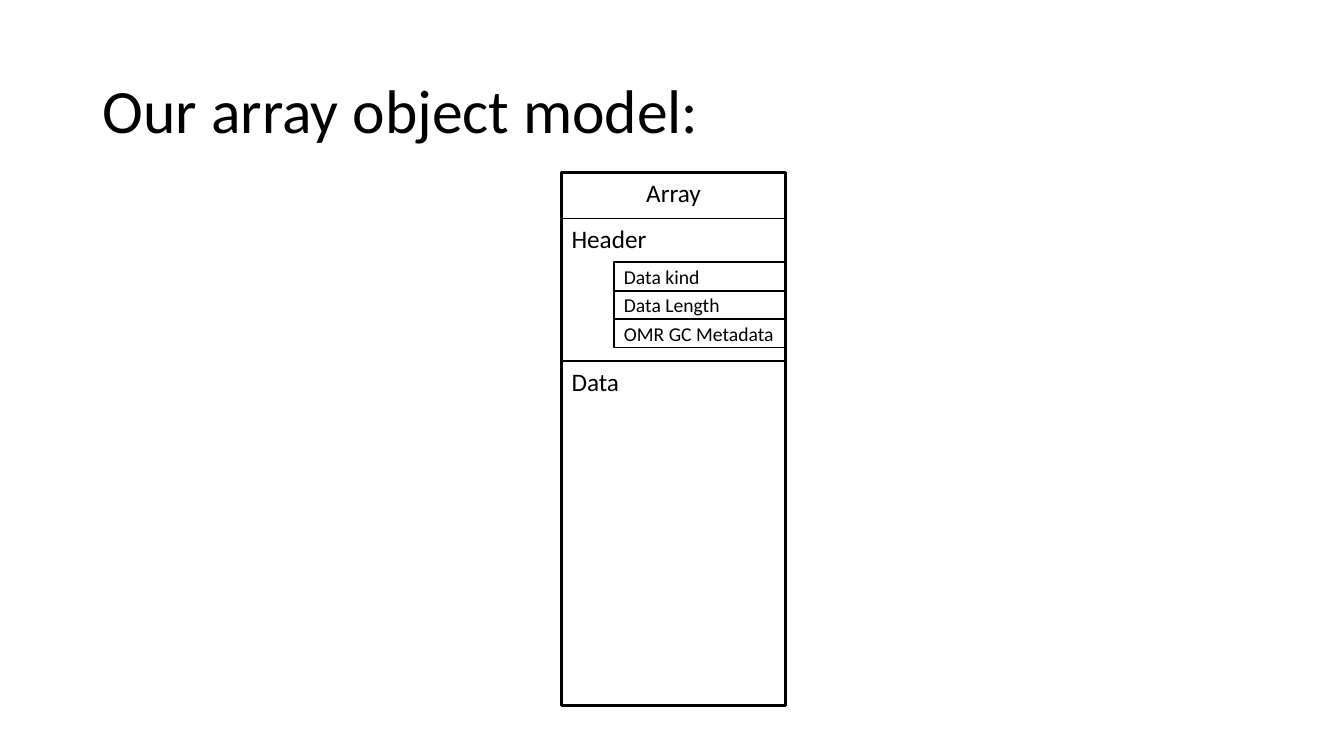
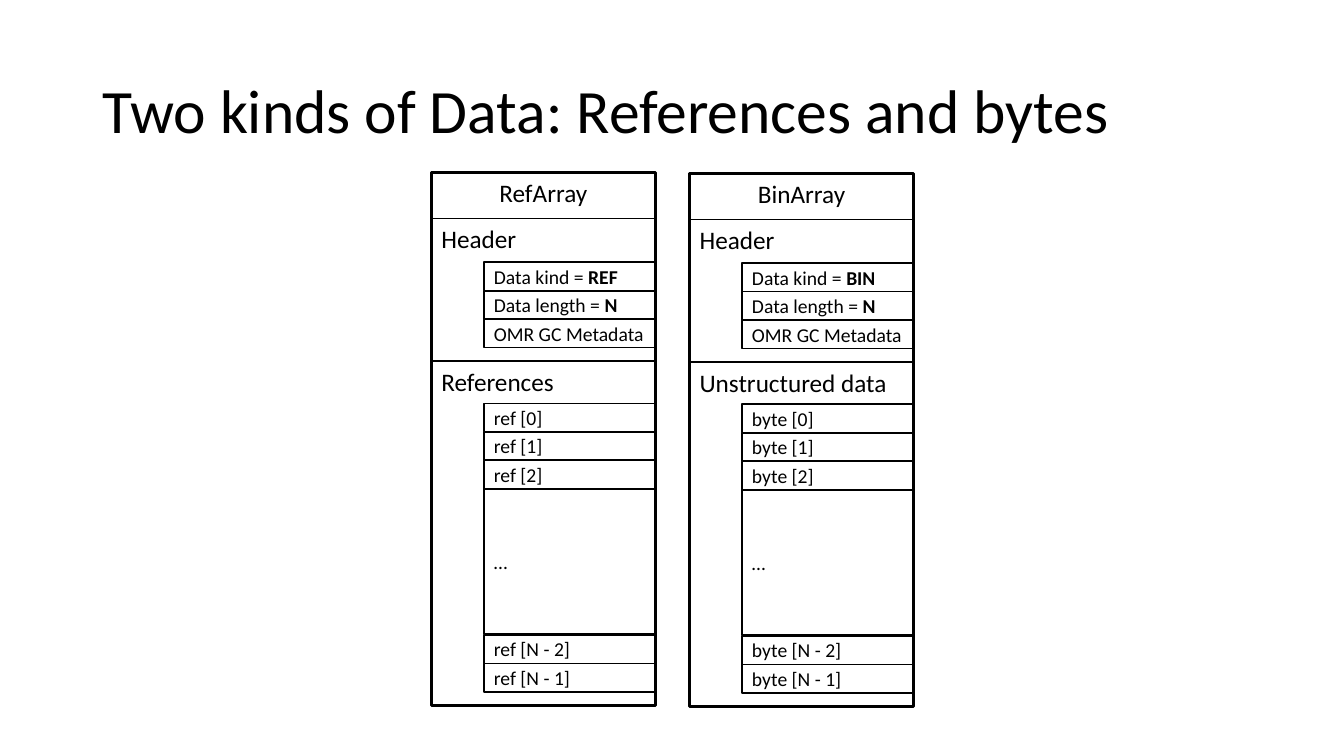
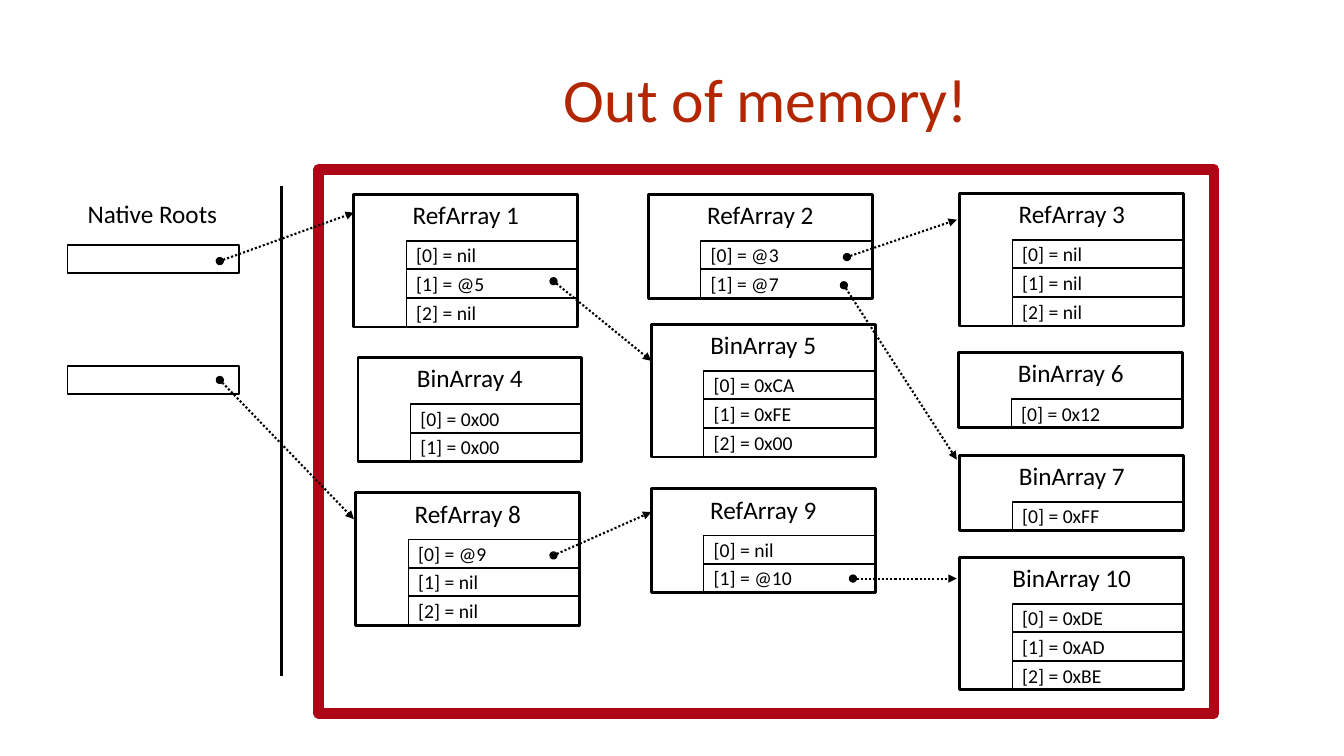
from dataclasses import dataclass

from lxml import etree
from pptx import Presentation
from pptx.dml.color import RGBColor
from pptx.enum.dml import MSO_LINE
from pptx.enum.shapes import MSO_CONNECTOR, MSO_SHAPE
from pptx.enum.text import MSO_ANCHOR, PP_ALIGN
from pptx.oxml.ns import qn
from pptx.util import Inches, Pt

RECT = MSO_SHAPE.RECTANGLE
STRAIGHT = MSO_CONNECTOR.STRAIGHT
DOTTED = MSO_LINE.ROUND_DOT
LEFT, CENTER = PP_ALIGN.LEFT, PP_ALIGN.CENTER
TOP, MIDDLE = MSO_ANCHOR.TOP, MSO_ANCHOR.MIDDLE


@dataclass(frozen=True)
class Theme:
    font: str = "Calibri"
    ink: RGBColor = RGBColor(0x00, 0x00, 0x00)
    paper: RGBColor = RGBColor(0xFF, 0xFF, 0xFF)
    alert: RGBColor = RGBColor(0xB2, 0x26, 0x00)
    heap: RGBColor = RGBColor(0xAD, 0x06, 0x17)
    title: int = 44
    label: int = 18
    slot: int = 14
    thin: float = 1
    arrow: float = 1.5
    medium: float = 2
    thick: float = 2.25
    heavy: float = 7.5


THEME = Theme()

# Measures shared by every array, in inches
ARRAY_W = 2.22
SLOT_INDENT = 0.52
SLOT_W, SLOT_H = 1.7, 0.28
SLOT_STEP = 0.57 / 2
HEAD_H = 0.46


@dataclass(frozen=True)
class Box:
    left: float
    top: float
    width: float
    height: float


@dataclass(frozen=True)
class Slot:
    text: str
    value: str = ""


@dataclass(frozen=True)
class ArrayModel:
    """An array in detail: name, header and data section."""
    left: float
    top: float
    name: str
    header: tuple[Slot, ...]
    data: str
    item: str = ""


@dataclass(frozen=True)
class HeapArray:
    """An array on the heap: name and slots."""
    left: float
    top: float
    name: str
    slots: tuple[str, ...]


@dataclass(frozen=True)
class Reference:
    x1: float
    y1: float
    x2: float
    y2: float


# Drawing helpers
def place(box: Box) -> list:
    return [Inches(v) for v in (box.left, box.top, box.width, box.height)]


def write(shape, text: str, size: int, bold_text: str = "", align=LEFT,
          anchor=TOP, color: RGBColor = THEME.ink):
    tf = shape.text_frame
    tf.word_wrap = True
    tf.vertical_anchor = anchor
    p = tf.paragraphs[0]
    p.alignment = align
    for part, bold in ((text, False), (bold_text, True)):
        if not part:
            continue
        r = p.add_run()
        r.text = part
        r.font.color.rgb = color
        fmt = {"name": THEME.font, "size": Pt(size), "bold": bold}
        for key, value in fmt.items():
            setattr(r.font, key, value)
    return p


def add_rect(s, box: Box, weight: float = THEME.thin, filled: bool = True,
             color: RGBColor = THEME.ink):
    sp = s.shapes.add_shape(RECT, *place(box))
    sp.shadow.inherit = False
    if filled:
        sp.fill.solid()
        sp.fill.fore_color.rgb = THEME.paper
    else:
        sp.fill.background()
    sp.line.color.rgb = color
    sp.line.width = Pt(weight)
    return sp


def add_line(s, ends: Reference, weight: float):
    c = s.shapes.add_connector(
        STRAIGHT, *(Inches(v) for v in (ends.x1, ends.y1, ends.x2, ends.y2)))
    c.line.color.rgb = THEME.ink
    c.line.width = Pt(weight)
    etree.SubElement(c.element.spPr, qn("a:effectLst"))
    return c


def add_reference(s, ends: Reference) -> None:
    c = add_line(s, ends, THEME.arrow)
    c.line.dash_style = DOTTED
    ln = c.element.spPr.find(qn("a:ln"))
    for tag, kind in (("a:headEnd", "oval"), ("a:tailEnd", "triangle")):
        etree.SubElement(ln, qn(tag), type=kind)


def add_slot(s, array_left: float, top: float, slot: Slot,
             height: float = SLOT_H) -> None:
    sp = add_rect(s, Box(array_left + SLOT_INDENT, top, SLOT_W, height))
    write(sp, slot.text, THEME.slot, slot.value, anchor=MIDDLE)


def add_slots(s, array_left: float, top: float, slots) -> None:
    for i, slot in enumerate(slots):
        add_slot(s, array_left, top + i * SLOT_STEP, slot)


def add_frame(s, box: Box, name: str, weight: float) -> None:
    sp = add_rect(s, box, weight, filled=False)
    write(sp, name, THEME.label, align=CENTER)


def add_model(s, m: ArrayModel) -> None:
    sections = ((m.data, 1.87, 3.42), ("Header", HEAD_H, 1.41))
    for text, offset, height in sections:
        sp = add_rect(s, Box(m.left, m.top + offset, ARRAY_W, height))
        write(sp, text, THEME.label)
    add_slots(s, m.left, m.top + 0.89, m.header)
    if m.item:
        first = [Slot(f"{m.item} [{i}]") for i in range(3)]
        last = [Slot(f"{m.item} [N - {i}]") for i in (2, 1)]
        add_slots(s, m.left, m.top + 2.29, first)
        add_slot(s, m.left, m.top + 3.14, Slot("…"), 1.44)
        add_slots(s, m.left, m.top + 4.59, last)
    add_frame(s, Box(m.left, m.top, ARRAY_W, 5.29), m.name, THEME.thick)


def add_heap_array(s, a: HeapArray) -> None:
    add_slots(s, a.left, a.top + HEAD_H, [Slot(t) for t in a.slots])
    height = HEAD_H + len(a.slots) * SLOT_STEP
    add_frame(s, Box(a.left, a.top, ARRAY_W, height), a.name, THEME.medium)


def add_slide(prs, title: str, box: Box = Box(0.92, 0.4, 11.5, 1.45),
              align=LEFT, color: RGBColor = THEME.ink):
    s = prs.slides.add_slide(prs.slide_layouts[6])
    sp = s.shapes.add_textbox(*place(box))
    p = write(sp, title, THEME.title, align=align, anchor=MIDDLE, color=color)
    p.line_spacing = 0.9
    return s


# Content
METADATA = Slot("OMR GC Metadata")


def typed_header(kind: str) -> tuple[Slot, ...]:
    return Slot("Data kind = ", kind), Slot("Data length = ", "N"), METADATA


GENERIC_ARRAY = ArrayModel(
    5.57, 1.71, "Array", (Slot("Data kind"), Slot("Data Length"), METADATA),
    "Data")
TYPED_ARRAYS = (
    ArrayModel(4.28, 1.71, "RefArray", typed_header("REF"), "References",
               "ref"),
    ArrayModel(6.84, 1.72, "BinArray", typed_header("BIN"),
               "Unstructured data", "byte"),
)
HEAP_ARRAYS = (
    HeapArray(3.51, 1.93, "RefArray 1", ("[0] = nil", "[1] = @5", "[2] = nil")),
    HeapArray(6.43, 1.93, "RefArray 2", ("[0] = @3", "[1] = @7")),
    HeapArray(9.52, 1.92, "RefArray 3", ("[0] = nil", "[1] = nil", "[2] = nil")),
    HeapArray(3.55, 3.55, "BinArray 4", ("[0] = 0x00", "[1] = 0x00")),
    HeapArray(6.46, 3.22, "BinArray 5",
              ("[0] = 0xCA", "[1] = 0xFE", "[2] = 0x00")),
    HeapArray(9.51, 3.5, "BinArray 6", ("[0] = 0x12",)),
    HeapArray(9.52, 4.52, "BinArray 7", ("[0] = 0xFF",)),
    HeapArray(3.53, 4.89, "RefArray 8", ("[0] = @9", "[1] = nil", "[2] = nil")),
    HeapArray(6.46, 4.85, "RefArray 9", ("[0] = nil", "[1] = @10")),
    HeapArray(9.52, 5.53, "BinArray 10",
              ("[0] = 0xDE", "[1] = 0xAD", "[2] = 0xBE")),
)
ROOT_TOPS = (2.43, 3.63)
REFERENCES = (
    Reference(2.18, 2.59, 3.51, 2.11),
    Reference(2.18, 3.77, 3.51, 5.15),
    Reference(5.49, 2.79, 6.46, 3.58),
    Reference(8.4, 2.55, 9.49, 2.18),
    Reference(8.37, 2.83, 9.49, 4.56),
    Reference(5.49, 5.51, 6.46, 5.08),
    Reference(8.46, 5.74, 9.49, 5.74),
)

prs = Presentation()
prs.slide_width, prs.slide_height = Inches(13.33), Inches(7.5)

# Slide 1: generic array
s = add_slide(prs, "Our array object model:")
add_model(s, GENERIC_ARRAY)

# Slide 2: reference and binary arrays
s = add_slide(prs, "Two kinds of Data: References and bytes")
for model in TYPED_ARRAYS:
    add_model(s, model)

# Slide 3: full heap with its native roots
s = add_slide(prs, "Out of memory!", Box(3.16, 0.4, 8.88, 1.24), CENTER,
              THEME.alert)
add_rect(s, Box(3.16, 1.68, 8.88, 5.4), THEME.heavy, False, THEME.heap)
add_line(s, Reference(2.79, 1.85, 2.79, 6.71), THEME.medium)
write(s.shapes.add_textbox(*place(Box(0.77, 1.92, 1.65, 0.4))),
      "Native Roots", THEME.label)
for root_top in ROOT_TOPS:
    add_rect(s, Box(0.67, root_top, SLOT_W, SLOT_H))
for heap_array in HEAP_ARRAYS:
    add_heap_array(s, heap_array)
for reference in REFERENCES:
    add_reference(s, reference)

prs.save("out.pptx")
